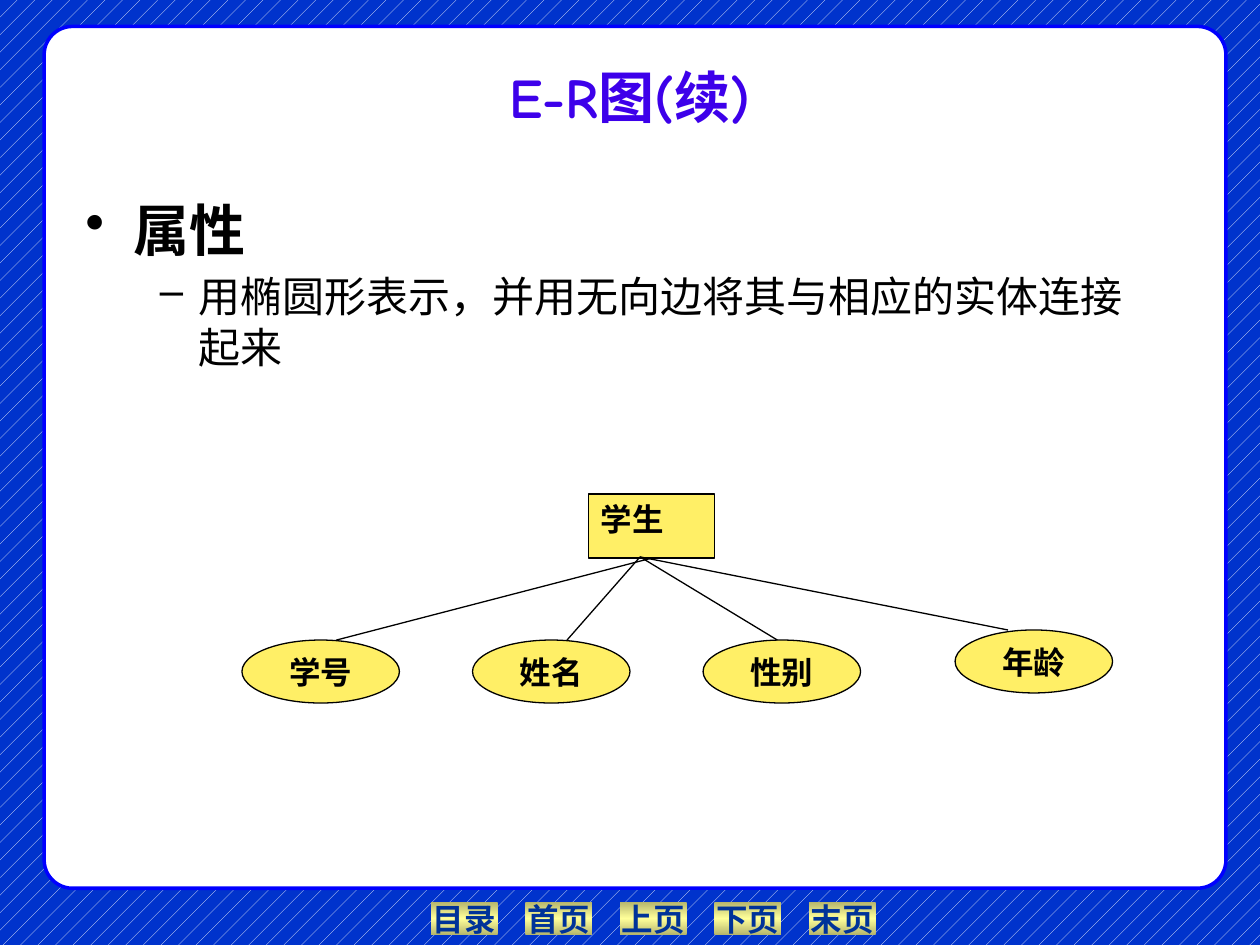
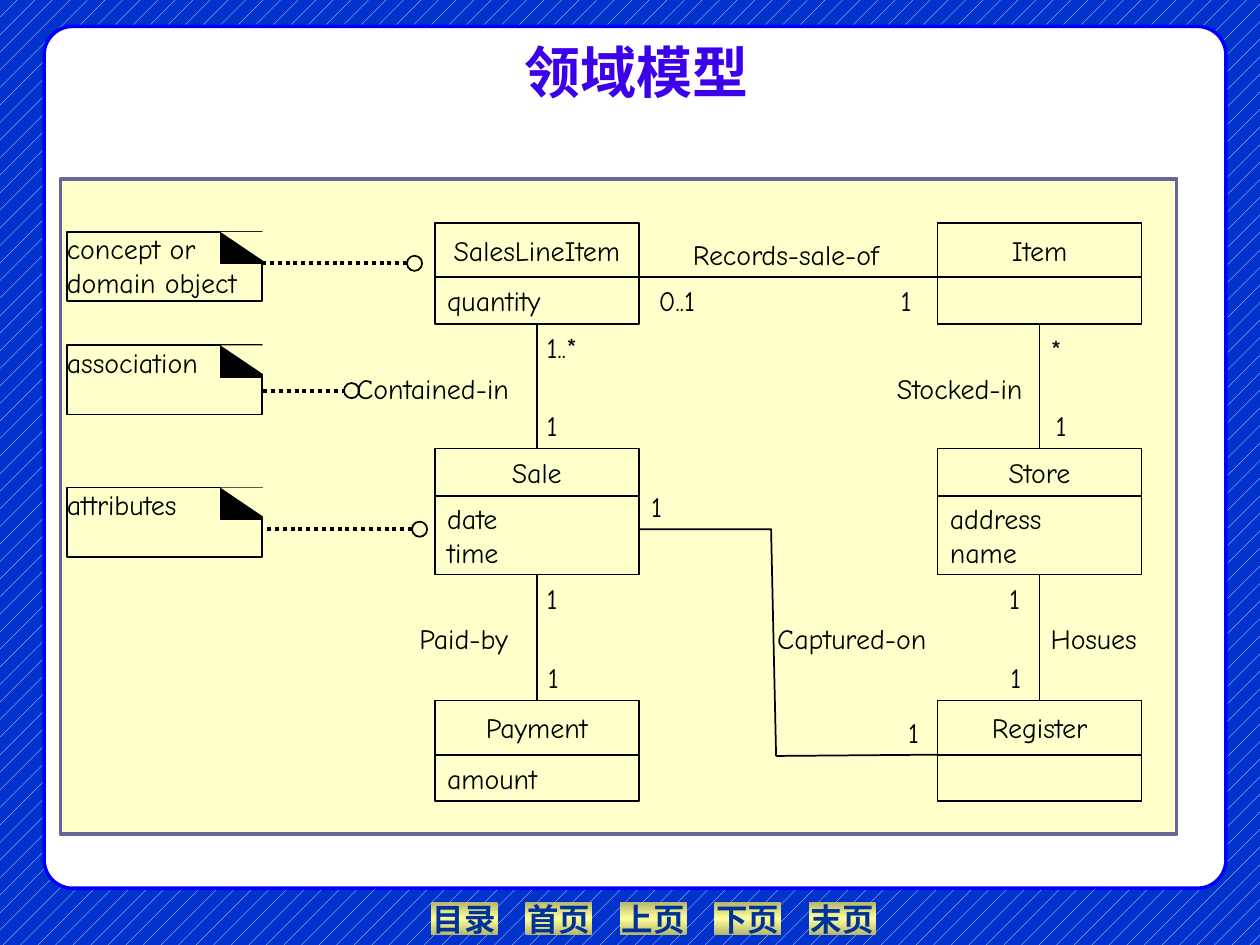
from copy import deepcopy
from dataclasses import dataclass

from pptx import Presentation
from pptx.dml.color import RGBColor
from pptx.enum.dml import MSO_LINE, MSO_PATTERN
from pptx.enum.shapes import MSO_CONNECTOR, MSO_SHAPE
from pptx.enum.text import MSO_ANCHOR, PP_ALIGN
from pptx.oxml.ns import qn
from pptx.util import Inches, Pt


@dataclass(frozen=True)
class Theme:
    heading_font: str = "Comic Neue"
    plain_font: str = "Times New Roman"
    title_size: int = 32
    body_size: int = 24
    node_size: int = 18
    model_size: int = 16
    black: str = "000000"
    white: str = "FFFFFF"
    backdrop: str = "0033CC"
    panel_line: str = "0000FF"
    title: str = "3D00EA"
    button_text: str = "003399"
    button_edge: str = "B6B66D"
    button_middle: str = "FFFF99"
    node: str = "FFEF66"
    canvas: str = "FFFFCC"
    canvas_line: str = "666699"


@dataclass(frozen=True)
class Box:
    left: float
    top: float
    width: float
    height: float

    def at(self, x, y, width=0, height=0):
        """Return a box placed relative to this one."""
        return Box(self.left + x, self.top + y, width, height)

    def lengths(self):
        return [Inches(value) for value in (self.left, self.top, self.width, self.height)]


THEME = Theme()
LEFT, CENTER = PP_ALIGN.LEFT, PP_ALIGN.CENTER
TOP, MIDDLE, BOTTOM = MSO_ANCHOR.TOP, MSO_ANCHOR.MIDDLE, MSO_ANCHOR.BOTTOM


def color(value):
    return RGBColor.from_string(value)


# Basic parts

def style_font(font, size, name, tint=THEME.black, bold=False):
    font.size, font.name, font.bold = Pt(size), name, bold
    font.color.rgb = color(tint)


def write(shape, text, size, name, tint=THEME.black, bold=False,
          align=LEFT, anchor=MIDDLE, wrap=False):
    text_frame = shape.text_frame
    text_frame.text = text
    text_frame.word_wrap = wrap
    text_frame.vertical_anchor = anchor
    for paragraph in text_frame.paragraphs:
        paragraph.alignment = align
        for run in paragraph.runs:
            style_font(run.font, size, name, tint, bold)


def style_line(line, width, tint=THEME.black):
    line.width = Pt(width)
    line.color.rgb = color(tint)


def add_shape(slide, kind, box, fill=None, line=THEME.black, width=1):
    shape = slide.shapes.add_shape(kind, *box.lengths())
    shape.shadow.inherit = False
    if fill:
        shape.fill.solid()
        shape.fill.fore_color.rgb = color(fill)
    else:
        shape.fill.background()
    if line:
        style_line(shape.line, width, line)
    else:
        shape.line.fill.background()
    return shape


def add_line(slide, start, end, width=1):
    ends = [Inches(value) for value in (start.left, start.top, end.left, end.top)]
    connector = slide.shapes.add_connector(MSO_CONNECTOR.STRAIGHT, *ends)
    style_line(connector.line, width)
    properties = connector._element.spPr
    properties.append(properties.makeelement(qn("a:effectLst"), {}))
    return connector


def add_label(slide, box, text):
    label = slide.shapes.add_textbox(*box.lengths())
    write(label, text, THEME.model_size, THEME.heading_font)


def set_bullet(paragraph, symbol, margin, indent):
    properties = paragraph._p.get_or_add_pPr()
    properties.set("marL", str(Inches(margin)))
    properties.set("indent", str(Inches(indent)))
    bullet = properties.makeelement(qn("a:buChar"), {"char": symbol})
    properties.append(bullet)


# Shared frame: backdrop, navigation buttons, panel and title

def add_navigation(slide, box):
    for index, text in enumerate(("目录", "首页", "上页", "下页", "末页")):
        button = add_shape(slide, MSO_SHAPE.ACTION_BUTTON_CUSTOM,
                           box.at(0.75 * index, 0, 0.53, box.height), line=None)
        button.fill.gradient()
        stop_list = button._element.spPr.find(qn("a:gradFill")).find(qn("a:gsLst"))
        stop_list.insert(1, deepcopy(stop_list[0]))
        tints = (THEME.button_edge, THEME.button_middle, THEME.button_edge)
        for stop, position, tint in zip(button.fill.gradient_stops, (0, 0.5, 1), tints):
            stop.position = position
            stop.color.rgb = color(tint)
        button.fill.gradient_angle = 90
        write(button, text, THEME.node_size, THEME.plain_font, THEME.button_text,
              bold=True, align=CENTER)


def add_framed_slide(presentation, title, title_anchor):
    slide = presentation.slides.add_slide(presentation.slide_layouts[6])
    fill = slide.background.fill
    fill.patterned()
    fill.pattern = MSO_PATTERN.PERCENT_5
    fill.fore_color.rgb = color(THEME.white)
    fill.back_color.rgb = color(THEME.backdrop)
    add_navigation(slide, Box(3.42, 7.16, 3.53, 0.26))
    panel = add_shape(slide, MSO_SHAPE.ROUNDED_RECTANGLE, Box(0.35, 0.21, 9.38, 6.84),
                      THEME.white, THEME.panel_line, 2)
    panel.adjustments[0] = 0.033
    title_box = slide.shapes.add_textbox(*Box(0.5, 0.25, 9, 0.83).lengths())
    write(title_box, title, THEME.title_size, THEME.heading_font, THEME.title,
          bold=True, align=CENTER, anchor=title_anchor, wrap=True)
    return slide


# Slide 1: attributes in an E-R diagram

def add_bullets(slide, box):
    text_frame = slide.shapes.add_textbox(*box.lengths()).text_frame
    text_frame.word_wrap = True
    heading = text_frame.paragraphs[0]
    heading.text = "属性"
    set_bullet(heading, "•", 0.38, -0.38)
    style_font(heading.runs[0].font, THEME.title_size, THEME.heading_font, bold=True)
    detail = text_frame.add_paragraph()
    detail.text = "用椭圆形表示，并用无向边将其与相应的实体连接起来"
    detail.level = 1
    detail.space_before = Pt(0.2 * THEME.body_size)
    set_bullet(detail, "–", 0.9, -0.31)
    style_font(detail.runs[0].font, THEME.body_size, THEME.heading_font)


def add_entity_diagram(slide, box):
    entity = add_shape(slide, MSO_SHAPE.RECTANGLE, box.at(2.75, 0, 1, 0.51),
                       THEME.node, width=0.75)
    write(entity, "学生", THEME.node_size, THEME.plain_font, bold=True, anchor=TOP, wrap=True)
    # Attribute, left, top, and where its edge meets the ellipse
    attributes = (("学号", 0, 1.16, 0.75), ("姓名", 1.83, 1.16, 0.75),
                  ("性别", 3.66, 1.16, 0.59), ("年龄", 5.66, 1.08, 0.42))
    for index, (text, x, y, contact) in enumerate(attributes):
        ellipse = add_shape(slide, MSO_SHAPE.OVAL, box.at(x, y, 1.25, 0.5),
                            THEME.node, width=0.75)
        write(ellipse, text, THEME.node_size, THEME.plain_font, bold=True, align=CENTER)
        edge = add_line(slide, box.at(3.16, 0.5), box.at(x + contact, y), 0.75)
        if index == 0:
            edge.begin_connect(entity, 2)


# Slide 2: domain model

def add_class(slide, box, name, attributes, head_height):
    head = add_shape(slide, MSO_SHAPE.RECTANGLE, box.at(0, 0, box.width, head_height))
    write(head, name, THEME.model_size, THEME.heading_font, align=CENTER)
    body = add_shape(slide, MSO_SHAPE.RECTANGLE,
                     box.at(0, head_height, box.width, box.height - head_height))
    if attributes:
        write(body, attributes, THEME.model_size, THEME.heading_font, wrap=True)
    return head, body


def add_note(slide, box, text):
    note = add_shape(slide, MSO_SHAPE.RECTANGLE, box)
    text_frame = note.text_frame
    text_frame.margin_left = text_frame.margin_right = 0
    text_frame.margin_top = text_frame.margin_bottom = 0
    write(note, text, THEME.model_size, THEME.heading_font, anchor=TOP, wrap=True)
    # Folded corner
    add_shape(slide, MSO_SHAPE.RECTANGLE, box.at(1.22, 0, 0.32, 0.25), THEME.black)
    cut = add_shape(slide, MSO_SHAPE.RIGHT_TRIANGLE, box.at(1.22, 0, 0.37, 0.25),
                    THEME.canvas, line=None)
    cut.rotation = 180


def add_pointer(slide, start, length):
    line = add_line(slide, start, start.at(length, 0), 2.25)
    line.line.dash_style = MSO_LINE.ROUND_DOT
    add_shape(slide, MSO_SHAPE.OVAL, start.at(length, -0.06, 0.12, 0.12))


def add_bent_association(slide, box, points):
    corners = [(Inches(box.left + x), Inches(box.top + y)) for x, y in points]
    builder = slide.shapes.build_freeform(*corners[0])
    builder.add_line_segments(corners[1:], close=False)
    shape = builder.convert_to_shape()
    shape.shadow.inherit = False
    shape.fill.background()
    style_line(shape.line, 1)


def add_domain_model(slide, box):
    add_shape(slide, MSO_SHAPE.RECTANGLE, box, THEME.canvas, THEME.canvas_line, 2)

    # Classes: two columns of three, each row with its top, height and head height
    rows = ((0.35, 0.8, 0.43), (2.14, 1, 0.38), (4.14, 0.8, 0.43))
    columns = (
        (2.97, (("SalesLineItem", "quantity"), ("Sale", "date\ntime"), ("Payment", "amount"))),
        (6.96, (("Item", ""), ("Store", "address\nname"), ("Register", ""))),
    )
    for x, classes in columns:
        parts = [add_class(slide, box.at(x, top, 1.62, height), name, attributes, head_height)
                 for (name, attributes), (top, height, head_height) in zip(classes, rows)]
        for (_, upper_body), (lower_head, _) in zip(parts, parts[1:]):
            association = add_line(slide, box, box)
            association.begin_connect(upper_body, 2)
            association.end_connect(lower_head, 0)
    add_line(slide, box.at(4.59, 0.78), box.at(6.96, 0.78))
    add_bent_association(slide, box, ((4.59, 2.78), (5.64, 2.78), (5.68, 4.58), (6.96, 4.57)))

    # Association names and multiplicities
    labels = (
        ("Contained-in", 2.25, 1.48, 1.46), ("Stocked-in", 6.54, 1.48, 1.25),
        ("Records-sale-of", 4.92, 0.41, 1.77), ("Paid-by", 2.75, 3.46, 0.95),
        ("Hosues", 7.76, 3.46, 0.95), ("Captured-on", 5.59, 3.46, 1.44),
        ("1..*", 3.76, 1.15, 0.54), ("0..1", 4.65, 0.78, 0.57), ("*", 7.76, 1.17, 0.29),
    )
    ones = ((3.76, 1.77), (6.57, 0.78), (4.59, 2.41), (6.63, 4.21), (7.8, 1.77),
            (3.76, 3.14), (3.77, 3.77), (7.43, 3.14), (7.44, 3.77))
    for text, x, y, width in labels + tuple(("1", x, y, 0.32) for x, y in ones):
        add_label(slide, box.at(x, y, width, 0.37), text)

    # Notes, each with the start and length of its pointer
    notes = (("concept or\ndomain object", 0.42, 1.6, 0.67, 1.15),
             ("association", 1.32, 1.61, 1.68, 0.64),
             ("attributes", 2.45, 1.64, 2.78, 1.15))
    for text, top, pointer_x, pointer_y, length in notes:
        add_note(slide, box.at(0.05, top, 1.55, 0.55), text)
        add_pointer(slide, box.at(pointer_x, pointer_y), length)


def main():
    presentation = Presentation()
    presentation.slide_width, presentation.slide_height = Inches(10), Inches(7.5)

    slide = add_framed_slide(presentation, "E-R图(续)", BOTTOM)
    add_bullets(slide, Box(0.58, 1.5, 8.5, 5.17))
    add_entity_diagram(slide, Box(1.92, 3.92, 6.91, 1.66))

    slide = add_framed_slide(presentation, " 领域模型", TOP)
    add_domain_model(slide, Box(0.48, 1.42, 8.86, 5.2))

    presentation.save("out.pptx")


if __name__ == "__main__":
    main()
